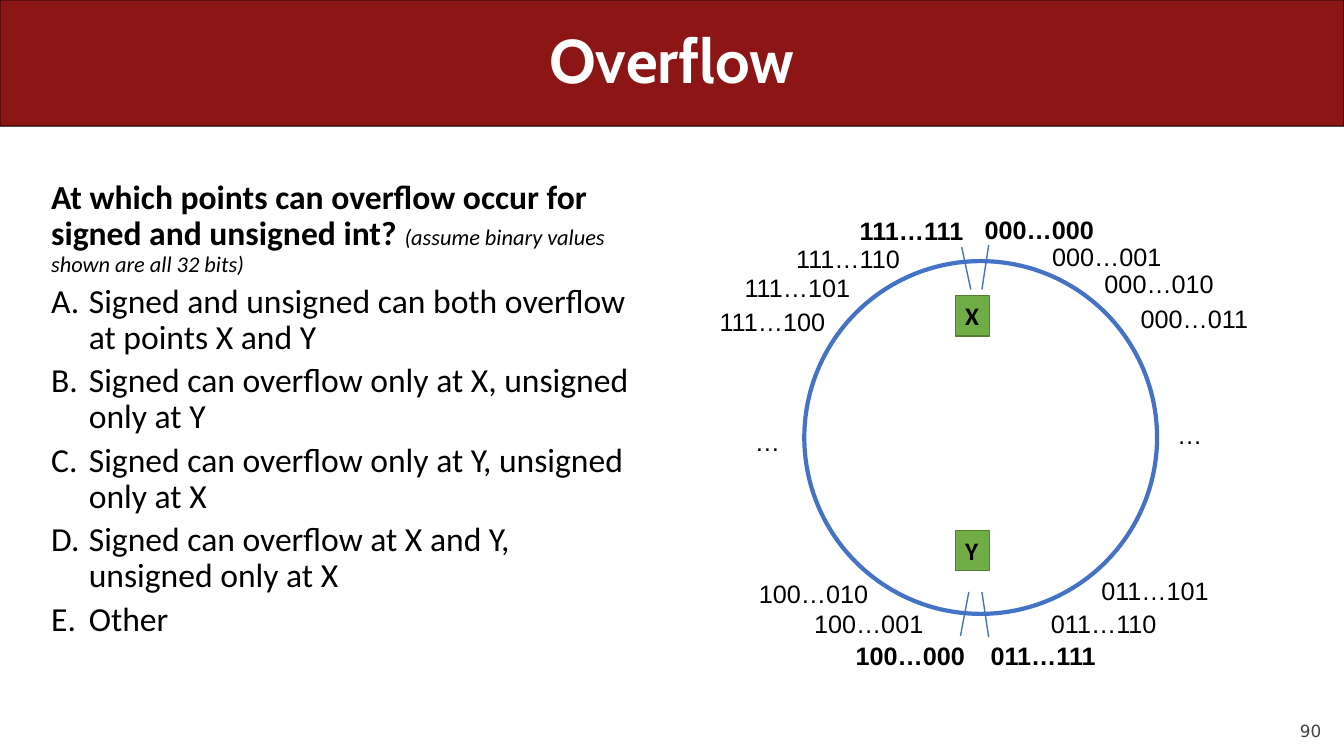
from lxml.etree import SubElement
from pptx import Presentation
from pptx.dml.color import RGBColor
from pptx.enum.shapes import MSO_CONNECTOR, MSO_SHAPE
from pptx.enum.text import MSO_ANCHOR as ANCHOR, MSO_AUTO_SIZE as AUTO, PP_ALIGN as ALIGN
from pptx.oxml.ns import qn
from pptx.util import Cm, Pt

CARDINAL = RGBColor(0x8C, 0x15, 0x15)
WHITE = RGBColor(0xFF, 0xFF, 0xFF)
BLACK = RGBColor(0, 0, 0)
GREY = RGBColor(0x42, 0x42, 0x42)
GREEN = RGBColor(0x70, 0xAD, 0x47)
DARK_GREEN = RGBColor(0x53, 0x80, 0x35)
BLUE = RGBColor(0x44, 0x72, 0xC4)

ANSWERS = [
    "Signed and unsigned can both overflow at points X and Y",
    "Signed can overflow only at X, unsigned only at Y",
    "Signed can overflow only at Y, unsigned only at X",
    "Signed can overflow at X and Y, unsigned only at X",
    "Other",
]
MARKERS = [("X", -3.58), ("Y", 2.34)]
TICKS = [
    (-0.48, -4.8, -0.25, -3.73),
    (0.03, 3.89, 0.2, 5.03),
    (0.2, -4.85, 0.03, -3.73),
    (-0.3, 3.89, -0.51, 5),
]
LABELS = [
    ("000…000", -0.15, -5.74, 3.3, True),
    ("111…111", -3.3, -5.72, 3.15, True),
    ("011…111", 0, 4.98, 3.18, True),
    ("100…000", -3.4, 4.98, 3.3, True),
    ("000…001", 1.55, -5.08, 3.3, False),
    ("000…010", 2.87, -4.39, 3.3, False),
    ("000…011", 3.78, -3.51, 3.25, False),
    ("111…110", -4.9, -5.03, 3.15, False),
    ("111…101", -6.2, -4.29, 3.2, False),
    ("111…100", -6.83, -3.43, 3.2, False),
    ("100…001", -4.45, 4.19, 3.3, False),
    ("100…010", -5.84, 3.43, 3.3, False),
    ("011…110", 1.52, 4.19, 3.2, False),
    ("011…101", 2.79, 3.35, 3.25, False),
    ("…", 4.7, -0.58, 1.14, False),
    ("…", -5.94, -0.41, 1.14, False),
]


def set_font(font, name, size, color=BLACK, bold=False, italic=False):
    """Set the face, size, colour and style of a font."""
    font.name, font.size = name, Pt(size)
    font.bold, font.italic = bold, italic
    font.color.rgb = color


def add_shape(s, kind, x, y, w, h, fill, line, weight):
    """Add a flat preset shape, hollow when fill is None."""
    sp = s.shapes.add_shape(kind, Cm(x), Cm(y), Cm(w), Cm(h))
    sp.shadow.inherit = False
    if fill is None:
        sp.fill.background()
    else:
        sp.fill.solid()
        sp.fill.fore_color.rgb = fill
    sp.line.color.rgb, sp.line.width = line, Pt(weight)
    return sp


def add_text(s, x, y, w, h):
    """Add a wrapping text box and return its frame."""
    tf = s.shapes.add_textbox(Cm(x), Cm(y), Cm(w), Cm(h)).text_frame
    tf.word_wrap = True
    return tf


def fit_label(tf, text, face, bold):
    """Write a single unwrapped label into a frame."""
    tf.text = text
    tf.word_wrap, tf.auto_size = False, AUTO.SHAPE_TO_FIT_TEXT
    tf.vertical_anchor = ANCHOR.TOP
    p = tf.paragraphs[0]
    p.alignment = ALIGN.LEFT
    set_font(p.runs[0].font, face, 18, bold=bold)


def add_header(s, x, y, w, h):
    """Draw the title band."""
    band = add_shape(s, MSO_SHAPE.ROUNDED_RECTANGLE, x, y, w, h, CARDINAL, BLACK, 0.75)
    band.adjustments[0] = 0.001
    tf = add_text(s, x + 1.27, y, w - 2.54, h)
    tf.text = "Overflow"
    tf.vertical_anchor = ANCHOR.MIDDLE
    p = tf.paragraphs[0]
    p.alignment, p.line_spacing = ALIGN.CENTER, 0.9
    set_font(p.runs[0].font, "Cabin", 44, WHITE, bold=True)


def add_question(s, x, y, w, h):
    """Write the question and its lettered answers."""
    tf = add_text(s, x, y, w, h)
    p = tf.paragraphs[0]
    p.line_spacing = 0.9
    r = p.add_run()
    r.text = "At which points can overflow occur for signed and unsigned int? "
    set_font(r.font, "Calibri", 24, bold=True)
    r = p.add_run()
    r.text = "(assume binary values shown are all 32 bits)"
    set_font(r.font, "Calibri", 16, italic=True)
    for answer in ANSWERS:
        p = tf.add_paragraph()
        p.text = answer
        p.line_spacing, p.space_before = 0.9, Pt(5)
        pPr = p._p.get_or_add_pPr()
        pPr.set("marL", str(Cm(0.95)))
        pPr.set("indent", str(-Cm(0.95)))
        SubElement(pPr, qn("a:buFont"), typeface="+mj-lt")
        SubElement(pPr, qn("a:buAutoNum"), type="alphaUcPeriod")
        set_font(p.runs[0].font, "Calibri", 24)


def add_number_ring(s, x, y, size):
    """Draw the ring of bit patterns with its two crossing points."""
    cx, cy = x + size / 2, y + size / 2
    for name, dy in MARKERS:
        sp = add_shape(s, MSO_SHAPE.RECTANGLE, cx - 0.64, cy + dy, 0.86, 1.02,
                       GREEN, DARK_GREEN, 1)
        fit_label(sp.text_frame, name, "Calibri", True)
    add_shape(s, MSO_SHAPE.OVAL, x, y, size, size, None, BLUE, 3)
    for x1, y1, x2, y2 in TICKS:
        tick = s.shapes.add_connector(MSO_CONNECTOR.STRAIGHT, Cm(cx + x1), Cm(cy + y1),
                                      Cm(cx + x2), Cm(cy + y2))
        tick.line.color.rgb, tick.line.width = BLUE, Pt(1)
        SubElement(tick._element.spPr, qn("a:effectLst"))
    for bits, dx, dy, width, bold in LABELS:
        fit_label(add_text(s, cx + dx, cy + dy, width, 1.02), bits, "Arial", bold)


def add_page_number(s, x, y, w, h):
    """Write the page number at the bottom right of its box."""
    tf = add_text(s, x, y, w, h)
    tf.margin_left = tf.margin_right = tf.margin_top = tf.margin_bottom = 0
    tf.vertical_anchor = ANCHOR.BOTTOM
    tf.text = "90"
    p = tf.paragraphs[0]
    p.alignment = ALIGN.RIGHT
    set_font(p.runs[0].font, "DejaVu Sans", 12, GREY)


def main():
    """Build the slide and save it."""
    prs = Presentation()
    prs.slide_width, prs.slide_height = Cm(33.87), Cm(19.05)
    s = prs.slides.add_slide(prs.slide_layouts[6])
    add_page_number(s, 30.48, 17.65, 2.82, 1.02)
    add_header(s, 0, 0, 33.87, 3.18)
    add_question(s, 1.04, 4.42, 15.21, 12.85)
    add_number_ring(s, 20.27, 6.58, 8.89)
    prs.save("out.pptx")


if __name__ == "__main__":
    main()
